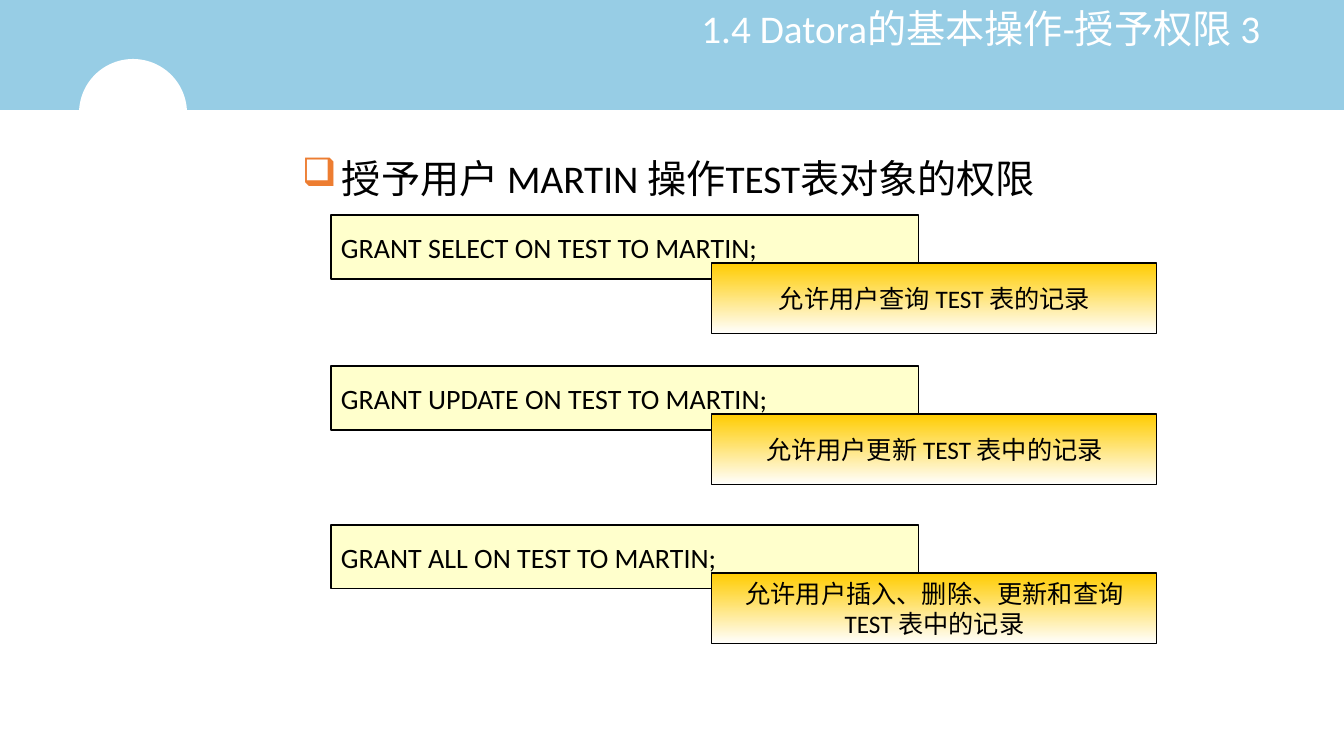
from lxml import etree
from pptx import Presentation, util as u
from pptx.dml.color import RGBColor
from pptx.enum import shapes, text
from pptx.oxml.ns import qn

EMU_PER_PX = 914400 / 100.8


def px(length):
    return u.Emu(round(length * EMU_PER_PX))


def color(value):
    return RGBColor.from_string(value)


class Slide:
    font = "Calibri"
    ink = "000000"

    def __init__(self, deck):
        self.page = deck.slides.add_slide(deck.slide_layouts[6])

    def put_text(self, shape, lines, size, ink=None, align="LEFT", spacing=None, **frame_format):
        frame = shape.text_frame
        for name, value in frame_format.items():
            setattr(frame, name, value)
        for index, line in enumerate(lines):
            para = frame.paragraphs[0] if index == 0 else frame.add_paragraph()
            para.alignment = text.PP_ALIGN[align]
            para.line_spacing = spacing
            span = para.add_run()
            span.text = line
            span.font.color.rgb = color(ink or self.ink)
            for name, value in {"name": self.font, "size": u.Pt(size)}.items():
                setattr(span.font, name, value)
        return frame

    def shape(self, kind, bounds, fill, line=None, parent=None):
        owner = parent or self.page
        shape = owner.shapes.add_shape(kind, *map(px, bounds))
        shape.shadow.inherit = False
        if isinstance(fill, tuple):
            shape.fill.gradient()
            shape.fill.gradient_angle = 270
            for position, (stop, tone) in enumerate(zip(shape.fill.gradient_stops, fill)):
                stop.color.rgb = color(tone)
                stop.position = position
        else:
            shape.fill.solid()
            shape.fill.fore_color.rgb = color(fill)
        if line:
            shape.line.color.rgb = color(line)
            shape.line.width = u.Pt(0.75)
        else:
            shape.line.fill.background()
        return shape

    def label(self, bounds, line, size, **formats):
        box = self.page.shapes.add_textbox(*map(px, bounds))
        return self.put_text(box, [line], size, word_wrap=True, **formats)

    def bullet(self, para, symbol, tone, indent):
        properties = para._p.get_or_add_pPr()
        properties.set("marL", str(px(indent)))
        properties.set("indent", str(-px(indent)))
        bullet_color = etree.SubElement(properties, qn("a:buClr"))
        etree.SubElement(bullet_color, qn("a:srgbClr"), val=tone)
        etree.SubElement(properties, qn("a:buChar"), char=symbol)

    def grant(self, top, statement, meaning):
        group = self.page.shapes.add_group_shape()
        rectangle = shapes.MSO_SHAPE.RECTANGLE
        middle = {"vertical_anchor": text.MSO_ANCHOR.MIDDLE, "word_wrap": False}
        command = self.shape(rectangle, (331, top, 588, 64), "FFFFCC", self.ink, group)
        self.put_text(command, [statement], 20, **middle)
        note = self.shape(rectangle, (712, top + 48, 445, 71), ("FFCC00", "FFFFFF"), self.ink, group)
        self.put_text(note, meaning, 18, align="CENTER", **middle)


def main():
    deck = Presentation()
    deck.slide_width, deck.slide_height = px(1344), px(756)
    slide = Slide(deck)
    slide.shape(shapes.MSO_SHAPE.RECTANGLE, (0, 0, 1344, 110), "97CDE5")
    slide.shape(shapes.MSO_SHAPE.OVAL, (79, 59, 108, 108), "FFFFFF")
    slide.label((577, 1, 693, 112), "1.4 Datora的基本操作-授予权限 3", 28,
                ink="FFFFFF", align="RIGHT", spacing=0.9, margin_top=px(9))
    heading = slide.label((292, 149, 864, 57), "授予用户 MARTIN 操作TEST表对象的权限", 28)
    slide.bullet(heading.paragraphs[0], "❑", "ED7D31", 40)
    grants = [
        (215, "SELECT", ["允许用户查询 TEST 表的记录"]),
        (366, "UPDATE", ["允许用户更新 TEST 表中的记录"]),
        (525, "ALL", ["允许用户插入、删除、更新和查询", "TEST 表中的记录"]),
    ]
    for top, privilege, meaning in grants:
        slide.grant(top, f"GRANT {privilege} ON TEST TO MARTIN;", meaning)
    deck.save("out.pptx")


if __name__ == "__main__":
    main()
